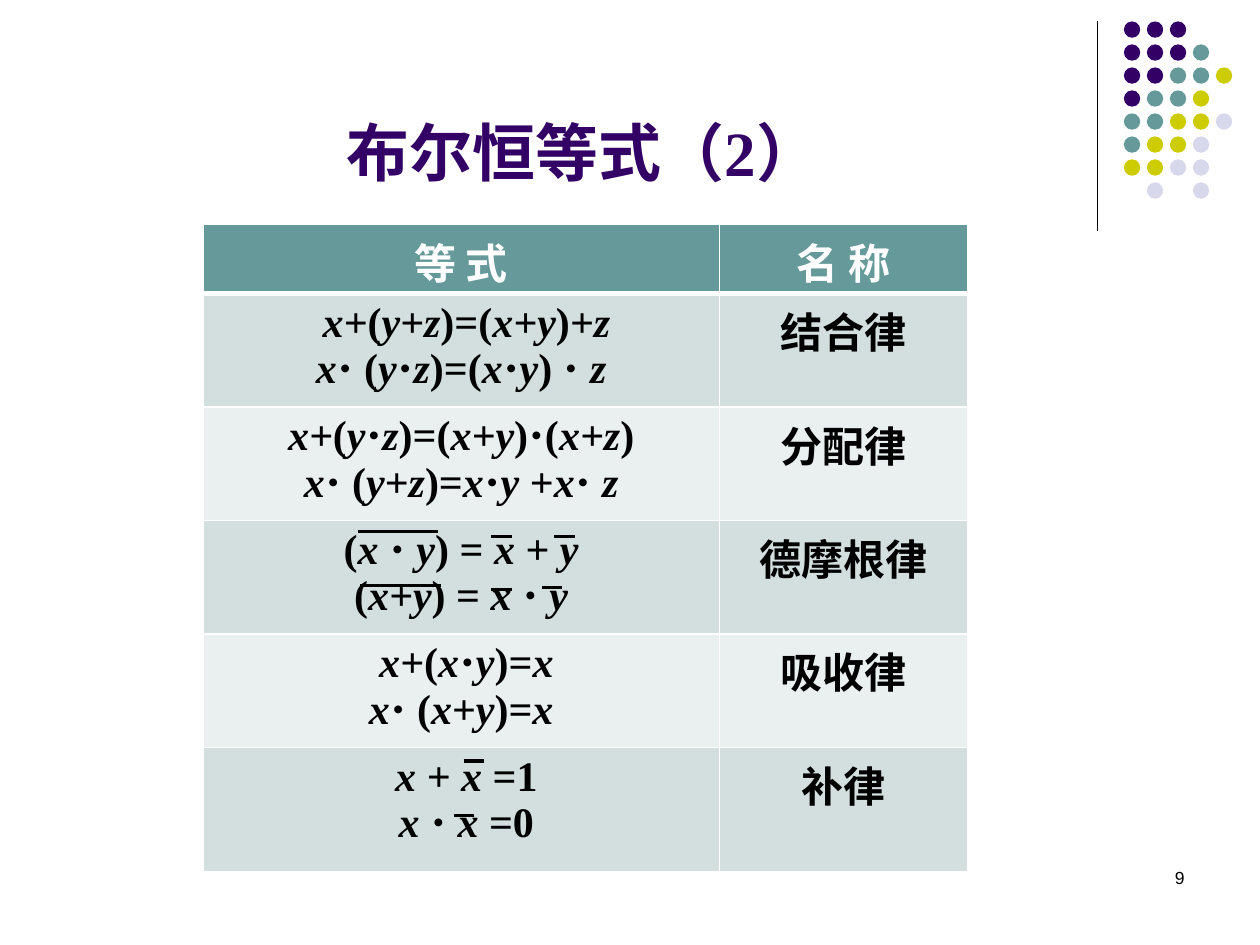
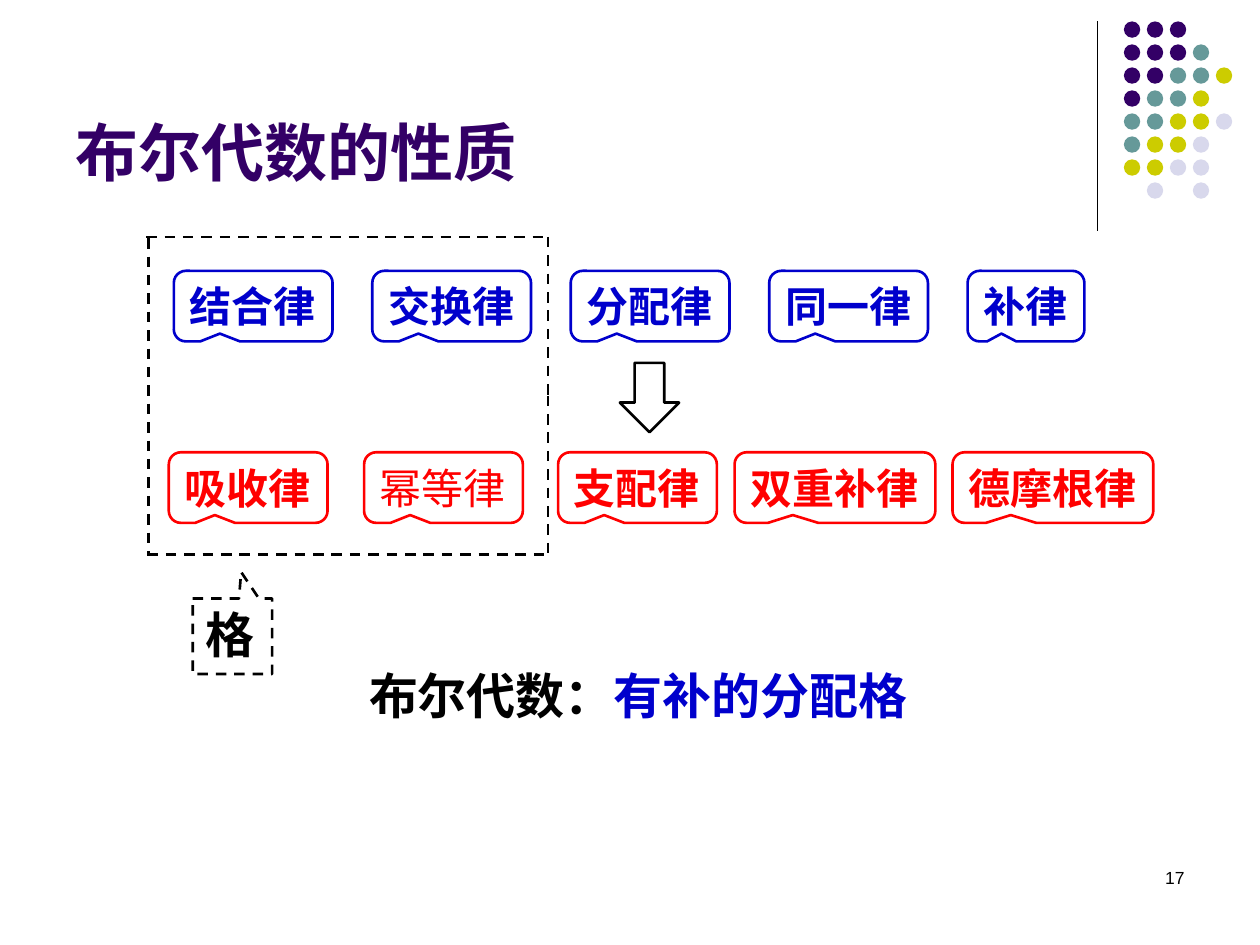
from dataclasses import dataclass

from lxml import etree
from pptx import Presentation
from pptx.dml.color import RGBColor
from pptx.enum.dml import MSO_LINE
from pptx.enum.shapes import MSO_CONNECTOR, MSO_SHAPE
from pptx.enum.text import MSO_ANCHOR, MSO_AUTO_SIZE, PP_ALIGN
from pptx.oxml.ns import qn
from pptx.util import Inches, Pt

LEFT, CENTER, RIGHT = PP_ALIGN.LEFT, PP_ALIGN.CENTER, PP_ALIGN.RIGHT
TOP, BOTTOM = MSO_ANCHOR.TOP, MSO_ANCHOR.BOTTOM
NO_FIT, GROW = MSO_AUTO_SIZE.NONE, MSO_AUTO_SIZE.SHAPE_TO_FIT_TEXT
STRAIGHT = MSO_CONNECTOR.STRAIGHT
DASH = MSO_LINE.DASH
OVAL, DOWN_ARROW = MSO_SHAPE.OVAL, MSO_SHAPE.DOWN_ARROW
ROUND_CALLOUT = MSO_SHAPE.ROUNDED_RECTANGULAR_CALLOUT
BOX_CALLOUT = MSO_SHAPE.RECTANGULAR_CALLOUT


@dataclass(frozen=True)
class Theme:
    purple: str = "330066"
    teal: str = "669999"
    olive: str = "CCCC00"
    lilac: str = "D8D8EC"
    black: str = "000000"
    white: str = "FFFFFF"
    blue: str = "0000CC"
    red: str = "FF0000"
    bands: tuple = ("D3DEDE", "EAEFEF")
    sans: str = "Arial"
    serif: str = "Times New Roman"
    title: int = 36
    large: int = 28
    body: int = 24
    small: int = 10


theme = Theme()


def write(para, text, color, align=LEFT, **formats):
    para.alignment = align
    for index, part in enumerate(text.split("*")):
        if part:
            span = para.add_run()
            span.text = part
            span.font.color.rgb = RGBColor.from_string(color)
            for name, value in {**formats, "italic": index % 2 == 1}.items():
                setattr(span.font, name, value)


def add_line(page, start, end, width, dash=None):
    line = page.shapes.add_connector(STRAIGHT, *map(Inches, start + end))
    line.line.color.rgb = RGBColor.from_string(theme.black)
    line.line.width = Pt(width)
    line.line.dash_style = dash
    etree.SubElement(line._element.spPr, qn("a:effectLst"))


deck = Presentation()
deck.slide_width, deck.slide_height = Inches(10), Inches(7.5)

DOT_ROWS = ["PPP", "PPPT", "PPTTY", "PTTY", "TTYYL", "TYYL", "YYLL", " L L"]
DOT_COLORS = {"P": theme.purple, "T": theme.teal, "Y": theme.olive, "L": theme.lilac}
DOT_STEP = 0.73 / 4
TITLES = [
    ("布尔恒等式（2）", theme.serif, CENTER, 0.13, "9"),
    ("布尔代数的性质", theme.sans, LEFT, 0.36, "17"),
]

for text, font, align, top, number in TITLES:
    page = deck.slides.add_slide(deck.slide_layouts[5])
    add_line(page, (8.71, 0.17), (8.71, 1.83), 0.75)
    dots = page.shapes.add_group_shape()
    for row, letters in enumerate(DOT_ROWS):
        for column, letter in enumerate(letters):
            if letter in DOT_COLORS:
                dot = dots.shapes.add_shape(
                    OVAL, Inches(8.92 + column * DOT_STEP), Inches(0.17 + row * DOT_STEP),
                    Inches(0.13), Inches(0.13))
                dot.shadow.inherit = False
                dot.fill.solid()
                dot.fill.fore_color.rgb = RGBColor.from_string(DOT_COLORS[letter])
                dot.line.fill.background()

    title = page.shapes.title
    title.left, title.top = Inches(0.5), Inches(top)
    title.width, title.height = Inches(8.25), Inches(1.55 - top)
    title.text_frame.vertical_anchor = BOTTOM
    title.text_frame.auto_size = NO_FIT
    write(title.text_frame.paragraphs[0], text, theme.purple, align,
          name=font, size=Pt(theme.title), bold=True)

    box = page.shapes.add_textbox(Inches(7.17), Inches(6.83), Inches(2.33), Inches(0.5))
    box.text_frame.word_wrap = True
    write(box.text_frame.paragraphs[0], number, theme.black, RIGHT,
          name=theme.sans, size=Pt(theme.small))

identities_page, properties_page = deck.slides

IDENTITIES = [
    (["等 式"], "名 称"),
    ([" *x+*(*y+z*)=(*x+y*)*+z*", "*x*⋅ (*y*⋅*z*)=(*x*⋅*y*) ⋅ *z*"], "结合律"),
    ([" *x+*(*y*⋅*z*)=(*x+y*)⋅(*x+z*) ", "*x*⋅ (*y*+*z*)=*x*⋅*y *+*x*⋅ *z*"], "分配律"),
    (["(*x *⋅ *y*) = *x *+ *y*", "(*x+y*) = *x *⋅ *y*"], "德摩根律"),
    ([" *x+*(*x*⋅*y*)=*x*", "*x*⋅ (*x*+*y*)=*x*"], "吸收律"),
    ([" *x + x *=1", " *x *⋅* x *=0"], "补律"),
]
table = identities_page.shapes.add_table(
    6, 2, Inches(1.61), Inches(1.78), Inches(6.07), Inches(5.14)).table
for column, width in zip(table.columns, [4.1, 1.97]):
    column.width = Inches(width)
for row, height in zip(table.rows, [0.55, 0.9, 0.9, 0.9, 0.9, 0.99]):
    row.height = Inches(height)

for row, (equations, law) in enumerate(IDENTITIES):
    fill = theme.bands[(row - 1) % 2] if row else theme.teal
    color = theme.black if row else theme.white
    edges = {"lnL": 1, "lnR": 1, "lnT": 3 if row == 1 else 1, "lnB": 1 if row else 3}
    for column, lines in enumerate([equations, [law]]):
        cell = table.cell(row, column)
        cell.fill.solid()
        cell.fill.fore_color.rgb = RGBColor.from_string(fill)
        for index, text in enumerate(lines):
            frame = cell.text_frame
            para = frame.add_paragraph() if index else frame.paragraphs[0]
            write(para, text, color, CENTER,
                  name=theme.serif, size=Pt(theme.body), bold=True)
        properties = cell._tc.get_or_add_tcPr()
        for index, (edge, width) in enumerate(edges.items()):
            border = etree.Element(qn(f"a:{edge}"), w=str(Pt(width)))
            solid = etree.SubElement(border, qn("a:solidFill"))
            etree.SubElement(solid, qn("a:srgbClr"), val=theme.white)
            properties.insert(index, border)

SHORT_BARS = [(3.9, 4.26), (4.4, 4.26), (4.3, 4.66), (3.9, 4.68), (3.68, 6.04), (3.6, 6.47)]
LONG_BARS = [(2.86, 4.65), (2.84, 4.22)]
for length, bars in [(0.16, SHORT_BARS), (0.64, LONG_BARS)]:
    for left, top in bars:
        add_line(identities_page, (left, top), (left + length, top), 1.75)

AXIOMS = ["结合律", "交换律", "分配律", "同一律", "补律"]
DERIVED = ["吸收律", "幂等律", "支配律", "双重补律", "德摩根律"]
axiom_lefts = [1.38 + 6.3 / 4 * index for index in range(5)]
derived_lefts = [1.34, 2.89, 4.43, 5.83, 7.56]
outlines = []
for laws, lefts, top, color in [
    (AXIOMS, axiom_lefts, 2.15, theme.blue),
    (DERIVED, derived_lefts, 3.59, theme.red),
]:
    for law, left in zip(laws, lefts):
        outlines.append((ROUND_CALLOUT, (left, top, 0.26 + len(law) / 3, 0.56),
                         (-0.21, 0.39, 0.17), color, law, theme.body, None, GROW))
outlines += [
    (DOWN_ARROW, (4.92, 2.88, 0.47, 0.55), (0.5, 0.5), theme.black, "", theme.body, None, NO_FIT),
    (BOX_CALLOUT, (1.53, 4.75, 0.63, 0.6), (0.11, -0.85), theme.black, "格", theme.large, DASH, NO_FIT),
]
for kind, place, adjustments, color, text, size, dash, fit in outlines:
    shape = properties_page.shapes.add_shape(kind, *map(Inches, place))
    for index, value in enumerate(adjustments):
        shape.adjustments[index] = value
    shape.shadow.inherit = False
    shape.fill.background()
    shape.line.color.rgb = RGBColor.from_string(color)
    shape.line.width = Pt(1.5)
    shape.line.dash_style = dash
    if text:
        for name, value in {"word_wrap": False, "auto_size": fit, "vertical_anchor": TOP}.items():
            setattr(shape.text_frame, name, value)
        write(shape.text_frame.paragraphs[0], text, color,
              name=theme.sans, size=Pt(size), bold=text != "幂等律")

box = properties_page.shapes.add_textbox(Inches(0.85), Inches(5.14), Inches(8.43), Inches(0.78))
box.text_frame.word_wrap = True
para = box.text_frame.paragraphs[0]
para.line_spacing = 1.2
for text, color in [("布尔代数：", theme.black), ("有补的分配格", theme.blue)]:
    write(para, text, color, CENTER, name=theme.serif, size=Pt(theme.large), bold=True)

LATTICE_EDGES = [
    ((1.18, 1.89), (1.18, 4.41)),
    ((1.16, 1.88), (4.35, 1.88)),
    ((4.35, 3.14), (4.35, 4.4)),
    ((4.35, 1.88), (4.35, 3.14)),
    ((1.17, 4.4), (4.36, 4.4)),
]
for start, end in LATTICE_EDGES:
    add_line(properties_page, start, end, 1.5, DASH)

deck.save("out.pptx")
